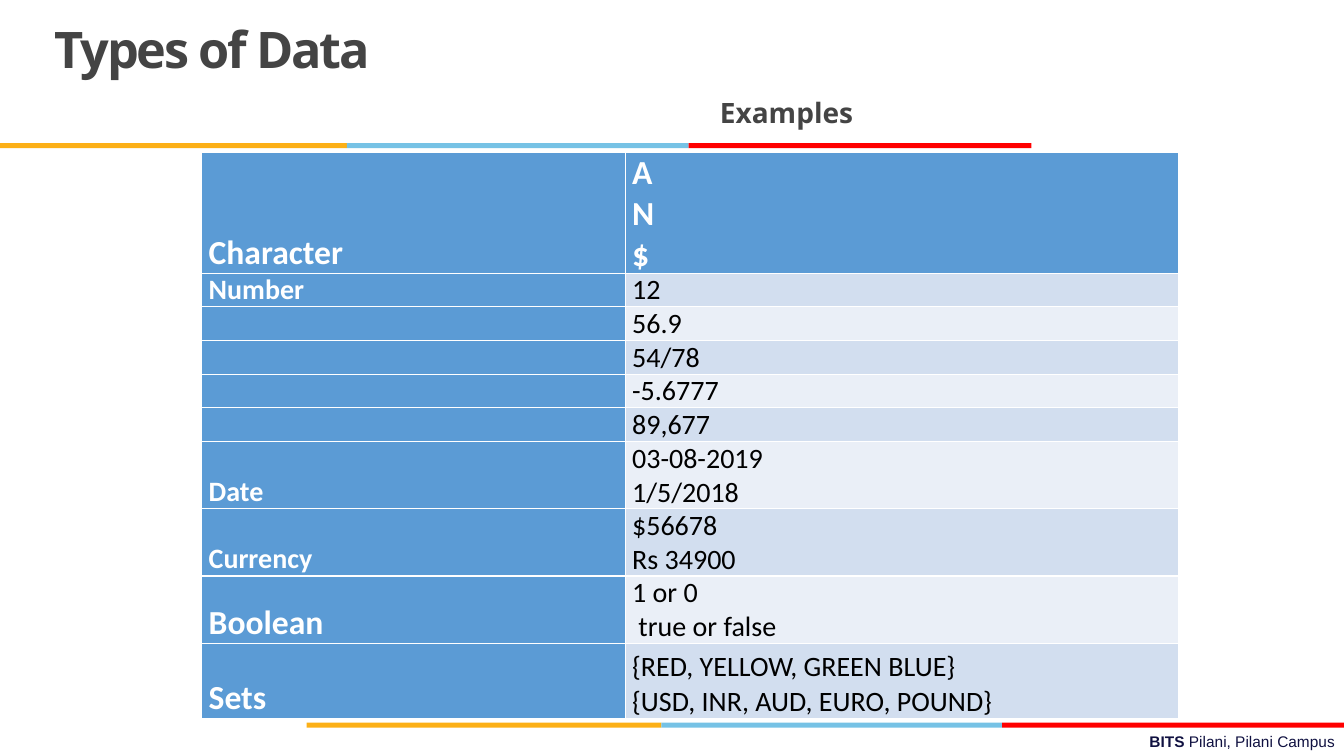
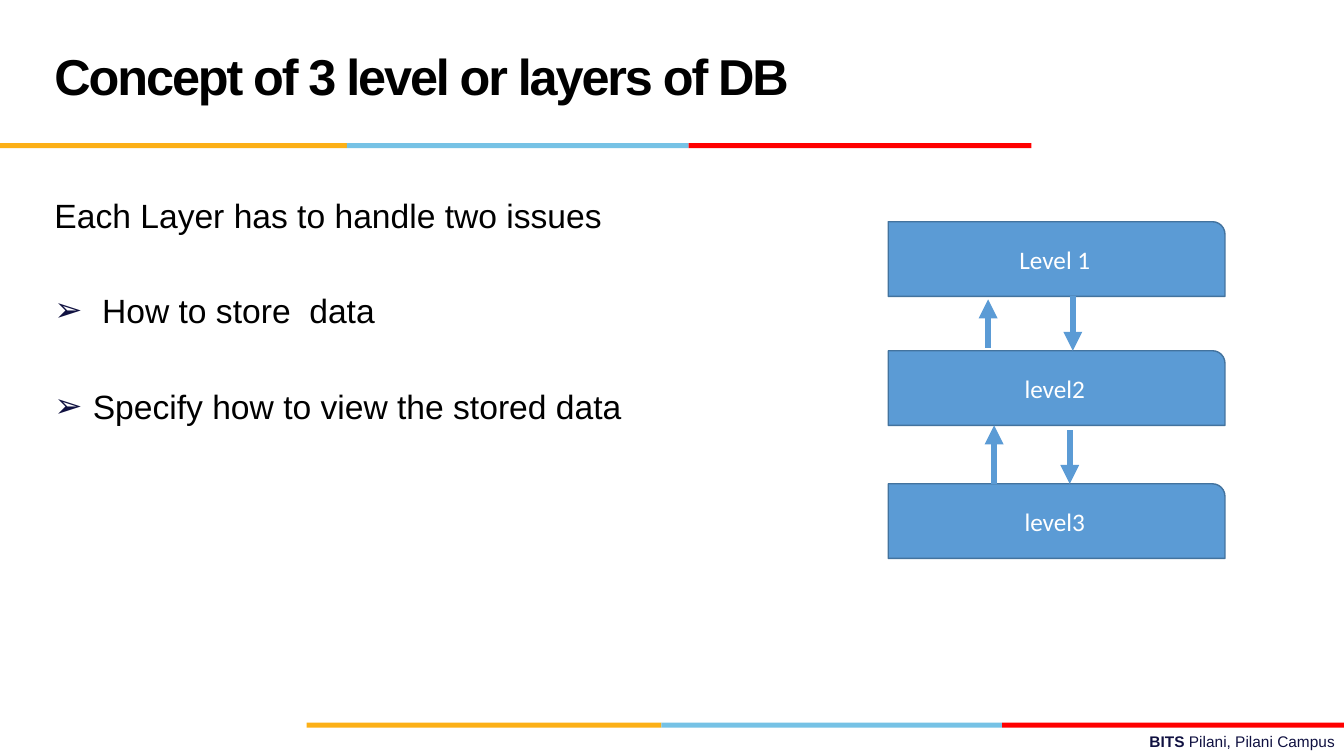
from pptx import Presentation
from pptx import util as u
from pptx.dml.color import RGBColor
from pptx.enum import shapes, text
from pptx.oxml.ns import qn
from lxml import etree

Inches, Pt = u.Inches, u.Pt
WHITE = RGBColor(0xFF, 0xFF, 0xFF)
BLACK = RGBColor(0, 0, 0)
GREY = RGBColor(0x44, 0x44, 0x44)
NAVY = RGBColor(0x10, 0x11, 0x41)
ORANGE = RGBColor(0xFC, 0xB0, 0x17)
SKY = RGBColor(0x76, 0xC2, 0xE5)
RED = RGBColor(0xFF, 0, 0)
BLUE = RGBColor(0x5B, 0x9B, 0xD5)
BLUE_EDGE = RGBColor(0x43, 0x73, 0x9E)
STRIPES = [RGBColor(0xEA, 0xEF, 0xF7), RGBColor(0xD2, 0xDE, 0xEF)]

BAND_COLORS = [ORANGE, SKY, RED]
BANDS = [(1.42, [0, 3.44, 6.83, 10.23]), (7.17, [3.04, 6.56, 9.94, 13.33])]
FOOTER = [("BITS ", True), ("Pilani, Pilani Campus", False)]

COLUMNS = [4.2, 5.49]
DATA_TYPES = [
    ("Character", 24, ["A", "N", "$"], 1.13),
    ("Number", 20, ["12"], 0.31),
    ("", 20, ["56.9"], 0.31),
    ("", 20, ["54/78"], 0.31),
    ("", 20, ["-5.6777"], 0.31),
    ("", 20, ["89,677"], 0.31),
    ("Date", 20, ["03-08-2019", "1/5/2018"], 0.63),
    ("Currency", 20, ["$56678", "Rs 34900"], 0.63),
    ("Boolean", 24, ["1 or 0", " true or false"], 0.63),
    ("Sets", 24, ["{RED, YELLOW, GREEN BLUE}", "{USD, INR, AUD, EURO, POUND}"], 0.75),
]

ISSUES = [
    ("Each Layer has to handle two issues", False),
    (" How to store  data", True),
    ("Specify how to view the stored data", True),
]
LEVELS = [("Level 1", 2.2), ("level2", 3.48), ("level3", 4.8)]
ARROWS = [(10.64, 2.94, 3.48), (10.61, 4.27, 4.8), (9.8, 3.45, 2.97), (9.86, 4.8, 4.22)]


def style(font, size, name, color, bold=False):
    font.size, font.name, font.bold = Pt(size), name, bold
    font.color.rgb = color


def place(shape, left, top, width, height):
    shape.left, shape.top = Inches(left), Inches(top)
    shape.width, shape.height = Inches(width), Inches(height)


def add_box(page, left, top, width, height):
    box = page.shapes.add_textbox(*map(Inches, (left, top, width, height)))
    box.text_frame.word_wrap = True
    return box


def add_shape(page, kind, left, top, width, height, color):
    shape = page.shapes.add_shape(kind, *map(Inches, (left, top, width, height)))
    shape.shadow.inherit = False
    shape.fill.solid()
    shape.fill.fore_color.rgb = color
    shape.line.fill.background()
    return shape


def decorate_master(deck, page):
    parts = []
    for top, edges in BANDS:
        for left, right, color in zip(edges, edges[1:], BAND_COLORS):
            parts.append(add_shape(page, shapes.MSO_SHAPE.RECTANGLE,
                                   left, top, right - left, 0.05, color))
    footer = add_box(page, 4.78, 7.21, 8.56, 0.29)
    para = footer.text_frame.paragraphs[0]
    para.alignment = text.PP_ALIGN.RIGHT
    for words, bold in FOOTER:
        span = para.add_run()
        span.text = words
        style(span.font, 11, "Arial", NAVY, bold)
    for part in parts + [footer]:
        deck.slide_master.shapes.element.append(part.element)


def set_title(page, words, top, height, font_name, color):
    title = page.shapes.title
    place(title, 0.44, top, 9.22, height)
    frame = title.text_frame
    frame.text = words
    frame.auto_size = text.MSO_AUTO_SIZE.NONE
    frame.vertical_anchor = text.MSO_ANCHOR.MIDDLE
    para = frame.paragraphs[0]
    para.alignment = text.PP_ALIGN.LEFT
    para.line_spacing = Pt(36)
    style(para.font, 36, font_name, color, True)
    para.runs[0].font._element.set("spc", "-150")


def fill_cell(cell, lines, size, color, bold, fill):
    cell.fill.solid()
    cell.fill.fore_color.rgb = fill
    cell.vertical_anchor = text.MSO_ANCHOR.BOTTOM
    cell.margin_left = cell.margin_right = Inches(0.07)
    cell.margin_top = cell.margin_bottom = 0
    cell.text = "\n".join(lines)
    for para in cell.text_frame.paragraphs:
        style(para.font, size, "Calibri", color, bold)


def build_data_types(page):
    set_title(page, "Types of Data", 0.15, 0.75, "Open Sans", GREY)

    heading = add_box(page, 7.14, 0.94, 1.4, 0.34).text_frame
    heading.margin_left = heading.margin_right = 0
    heading.margin_top = heading.margin_bottom = 0
    heading.vertical_anchor = text.MSO_ANCHOR.MIDDLE
    heading.text = "Examples"
    style(heading.paragraphs[0].font, 20, "Open Sans", GREY, True)

    heights = [row[-1] for row in DATA_TYPES]
    table = page.shapes.add_table(len(DATA_TYPES), len(COLUMNS), Inches(2), Inches(1.51),
                                  Inches(sum(COLUMNS)), Inches(sum(heights))).table
    table.first_col = True
    for column, width in zip(table.columns, COLUMNS):
        column.width = Inches(width)
    for index, (name, size, examples, height) in enumerate(DATA_TYPES):
        table.rows[index].height = Inches(height)
        fill_cell(table.cell(index, 0), [name], size, WHITE, True, BLUE)
        if index == 0:
            fill_cell(table.cell(index, 1), examples, size, WHITE, True, BLUE)
        else:
            fill_cell(table.cell(index, 1), examples, 20, BLACK, False, STRIPES[index % 2])


def set_bullet(para, bulleted):
    props = para._p.get_or_add_pPr()
    props.set("marL", str(Inches(0.38)))
    props.set("indent", str(-Inches(0.38)))
    if bulleted:
        tint = etree.SubElement(props, qn("a:buClr"))
        etree.SubElement(tint, qn("a:srgbClr"), val=str(NAVY))
        etree.SubElement(props, qn("a:buChar"), char="➢")
    else:
        etree.SubElement(props, qn("a:buNone"))


def add_arrow(page, x, start, end):
    arrow = page.shapes.add_connector(shapes.MSO_CONNECTOR.STRAIGHT,
                                      Inches(x), Inches(start), Inches(x), Inches(end))
    arrow.line.color.rgb = BLUE
    arrow.line.width = Pt(4.5)
    etree.SubElement(arrow.line._get_or_add_ln(), qn("a:tailEnd"), type="triangle")
    etree.SubElement(arrow._element.spPr, qn("a:effectLst"))


def build_layers(page):
    set_title(page, "Concept of 3 level or layers of DB", 0.17, 1.25, "Arial", BLACK)

    body = page.placeholders[1]
    place(body, 0.44, 1.88, 8.2, 4.9)
    frame = body.text_frame
    frame.text = "\n".join(words for words, _ in ISSUES)
    frame.auto_size = text.MSO_AUTO_SIZE.NONE
    for index, (para, (_, bulleted)) in enumerate(zip(frame.paragraphs, ISSUES)):
        set_bullet(para, bulleted)
        para.space_before = Pt(39.5 if index else 0)
        style(para.font, 24, "Arial", BLACK)

    for name, top in LEVELS:
        level = add_shape(page, shapes.MSO_SHAPE.ROUND_1_RECTANGLE, 8.81, top, 3.34, 0.74, BLUE)
        level.line.color.rgb = BLUE_EDGE
        level.line.width = Pt(1)
        level.text_frame.text = name
        para = level.text_frame.paragraphs[0]
        para.alignment = text.PP_ALIGN.CENTER
        style(para.font, 18, "Calibri", WHITE)
    for arrow in ARROWS:
        add_arrow(page, *arrow)


def main():
    deck = Presentation()
    deck.slide_width, deck.slide_height = Inches(13.33), Inches(7.5)
    types_page = deck.slides.add_slide(deck.slide_layouts[5])
    decorate_master(deck, types_page)
    build_data_types(types_page)
    build_layers(deck.slides.add_slide(deck.slide_layouts[1]))
    deck.save("out.pptx")


if __name__ == "__main__":
    main()
